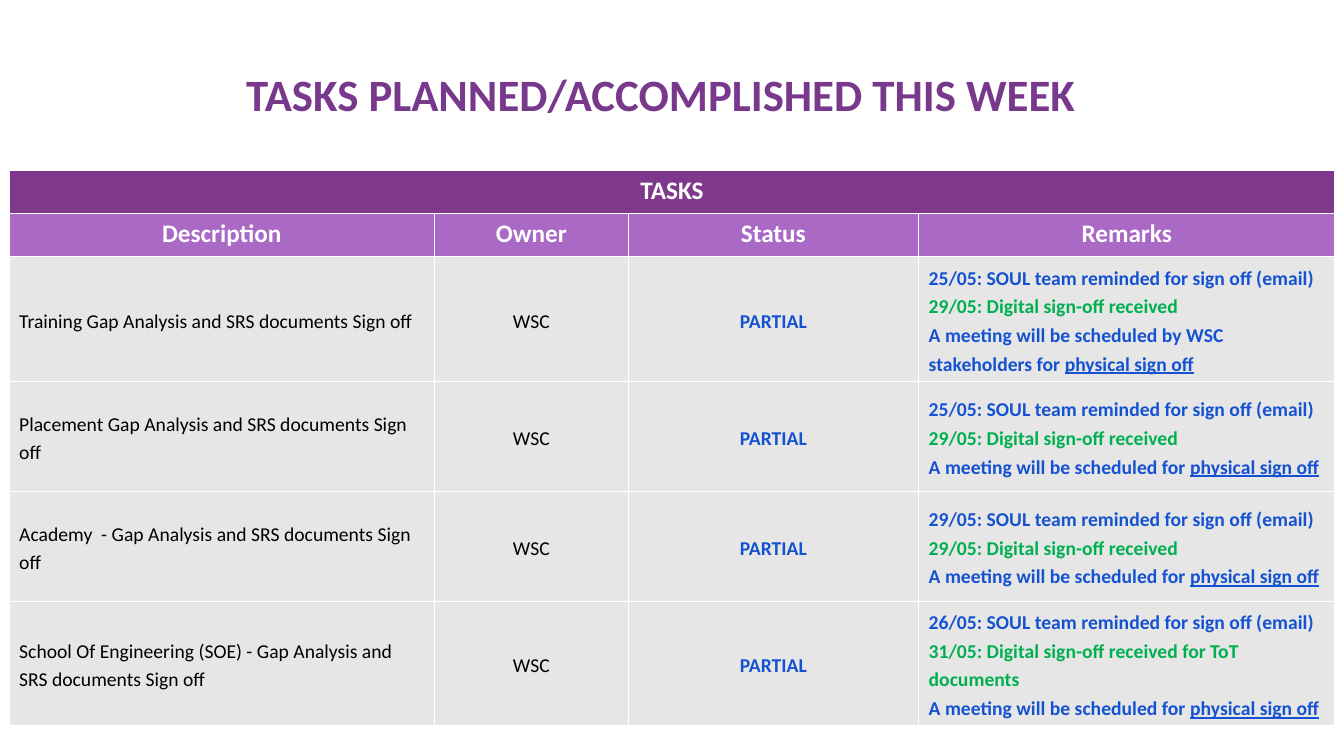
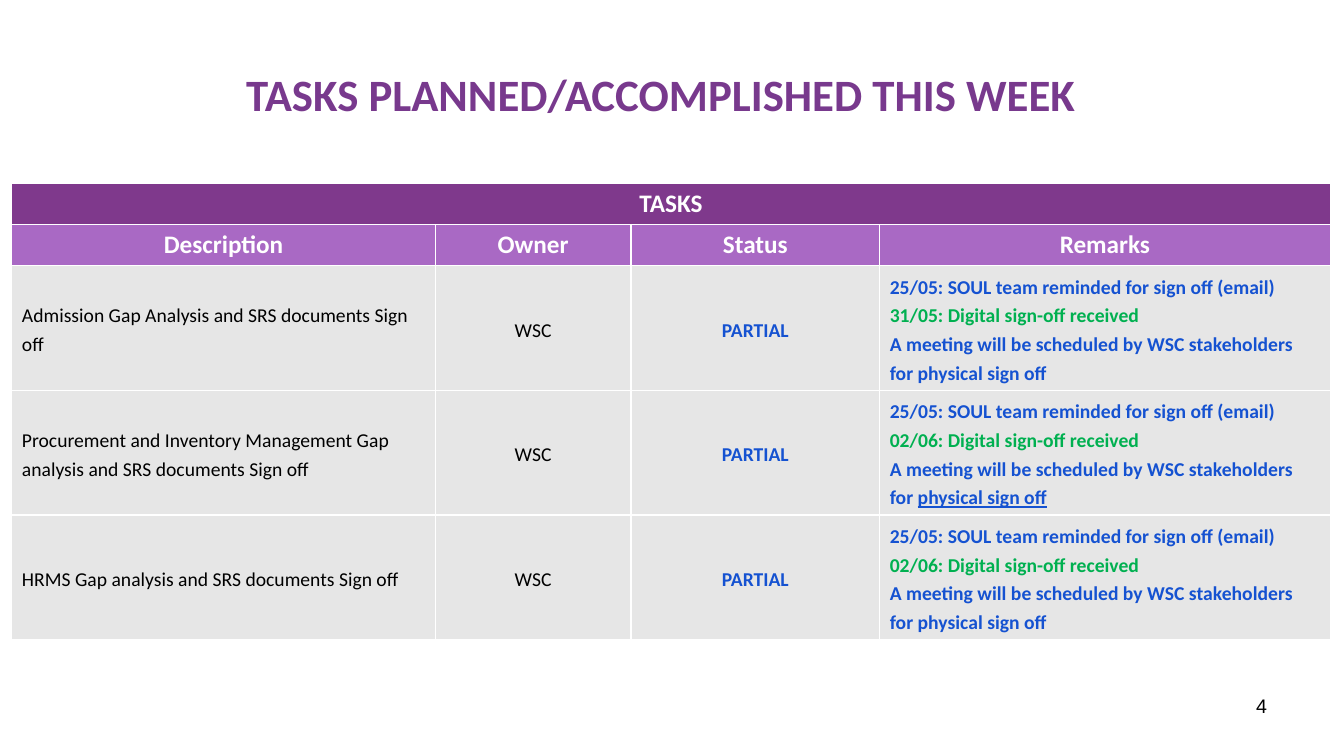
from lxml.etree import SubElement
from pptx import Presentation
from pptx.dml.color import RGBColor
from pptx.enum.text import MSO_ANCHOR, PP_ALIGN
from pptx.oxml.ns import qn
from pptx.util import Cm, Pt

COLORS = {
    "title": "78398D",
    "band": "7F398C",
    "header": "A969C4",
    "body": "E6E6E6",
    "white": "FFFFFF",
    "black": "000000",
    "blue": "1552D1",
    "green": "00B050",
}
TITLE = "TASKS PLANNED/ACCOMPLISHED THIS WEEK"
HEADERS = ["Description", "Owner", "Status", "Remarks"]
OWNER = "WSC"
STATUS = "PARTIAL"
REMINDED = "SOUL team reminded for sign off (email)"
RECEIVED = "Digital sign-off received"
MEETING = "A meeting will be scheduled for "
WSC_MEETING = "A meeting will be scheduled by WSC stakeholders for "
SIGN_OFF = "physical sign off"

SLIDES = [
    {
        "left": 0.23, "top": 4.29,
        "cols": [10.72, 4.88, 7.32, 10.49],
        "header_height": 1.09, "row_height": 2.77,
        "number": None,
        "tasks": [
            ("Training Gap Analysis and SRS documents Sign off",
             "25/05", f"29/05: {RECEIVED}", WSC_MEETING, True),
            ("Placement Gap Analysis and SRS documents Sign off",
             "25/05", f"29/05: {RECEIVED}", MEETING, True),
            ("Academy  - Gap Analysis and SRS documents Sign off",
             "29/05", f"29/05: {RECEIVED}", MEETING, True),
            ("School Of Engineering (SOE) - Gap Analysis and SRS documents Sign off",
             "26/05", f"31/05: {RECEIVED} for ToT documents", MEETING, True),
        ],
    },
    {
        "left": 0.3, "top": 4.62,
        "cols": [10.67, 4.93, 6.27, 11.35],
        "header_height": 1.04, "row_height": 3.1,
        "number": "4",
        "tasks": [
            ("Admission Gap Analysis and SRS documents Sign off",
             "25/05", f"31/05: {RECEIVED}", WSC_MEETING, False),
            ("Procurement and Inventory Management Gap analysis and SRS documents Sign off",
             "25/05", f"02/06: {RECEIVED}", WSC_MEETING, True),
            ("HRMS Gap analysis and SRS documents Sign off",
             "25/05", f"02/06: {RECEIVED}", WSC_MEETING, False),
        ],
    },
]


def add_run(p, text, size, color, bold=False, underline=None, font="Calibri"):
    r = p.add_run()
    r.text = text
    r.font.name = font
    r.font.size = Pt(size)
    r.font.bold = bold
    r.font.underline = underline
    r.font.color.rgb = RGBColor.from_string(COLORS[color])


def style_cell(cell, fill):
    tcPr = cell._tc.get_or_add_tcPr()
    for side in ("a:lnL", "a:lnR", "a:lnT", "a:lnB"):
        ln = SubElement(tcPr, qn(side), w=str(Pt(1)))
        SubElement(SubElement(ln, qn("a:solidFill")), qn("a:srgbClr"), val=COLORS["white"])
    cell.fill.solid()
    cell.fill.fore_color.rgb = RGBColor.from_string(COLORS[fill])


prs = Presentation()
prs.slide_width = Cm(33.87)
prs.slide_height = Cm(19.05)

for data in SLIDES:
    s = prs.slides.add_slide(prs.slide_layouts[5])

    title = s.shapes.title
    title.left, title.top, title.width, title.height = Cm(1.42), Cm(0.76), Cm(30.48), Cm(3.18)
    tf = title.text_frame
    tf.vertical_anchor = MSO_ANCHOR.MIDDLE
    p = tf.paragraphs[0]
    p.alignment = PP_ALIGN.CENTER
    add_run(p, TITLE, 32, "title", bold=True)

    tasks = data["tasks"]
    heights = [data["header_height"]] * 2 + [data["row_height"]] * len(tasks)
    table = s.shapes.add_table(
        len(heights), len(HEADERS), Cm(data["left"]), Cm(data["top"]),
        Cm(sum(data["cols"])), Cm(sum(heights))).table
    table.horz_banding = False
    for column, width in zip(table.columns, data["cols"]):
        column.width = Cm(width)
    for row, height, fill in zip(table.rows, heights, ["band", "header"] + ["body"] * len(tasks)):
        row.height = Cm(height)
        for cell in row.cells:
            style_cell(cell, fill)

    table.cell(0, 0).merge(table.cell(0, len(HEADERS) - 1))
    header_cells = [(table.cell(0, 0), "TASKS")]
    header_cells += [(table.cell(1, i), text) for i, text in enumerate(HEADERS)]
    for cell, text in header_cells:
        p = cell.text_frame.paragraphs[0]
        p.alignment = PP_ALIGN.CENTER
        add_run(p, text, 18, "white", bold=True)

    for i, (description, date, received, meeting, underlined) in enumerate(tasks, start=2):
        cells = [table.cell(i, j) for j in range(len(HEADERS))]
        texts = [(description, "black", False, PP_ALIGN.LEFT),
                 (OWNER, "black", False, PP_ALIGN.CENTER),
                 (STATUS, "blue", True, PP_ALIGN.CENTER),
                 (f"{date}: {REMINDED}", "blue", True, PP_ALIGN.LEFT)]
        for cell, (text, color, bold, alignment) in zip(cells, texts):
            cell.vertical_anchor = MSO_ANCHOR.MIDDLE
            p = cell.text_frame.paragraphs[0]
            p.alignment = alignment
            p.line_spacing = 1.2
            add_run(p, text, 14, color, bold)

        tf = cells[-1].text_frame
        p = tf.add_paragraph()
        p.line_spacing = 1.2
        add_run(p, received, 14, "green", bold=True)
        p = tf.add_paragraph()
        p.line_spacing = 1.2
        add_run(p, meeting, 14, "blue", bold=True)
        add_run(p, SIGN_OFF, 14, "blue", bold=True, underline=underlined)

    if data["number"]:
        sp = s.shapes.add_textbox(Cm(24.28), Cm(17.35), Cm(7.9), Cm(1.32))
        tf = sp.text_frame
        tf.word_wrap = True
        p = tf.paragraphs[0]
        p.alignment = PP_ALIGN.RIGHT
        add_run(p, data["number"], 14, "black", font="Arial")

prs.save("out.pptx")
